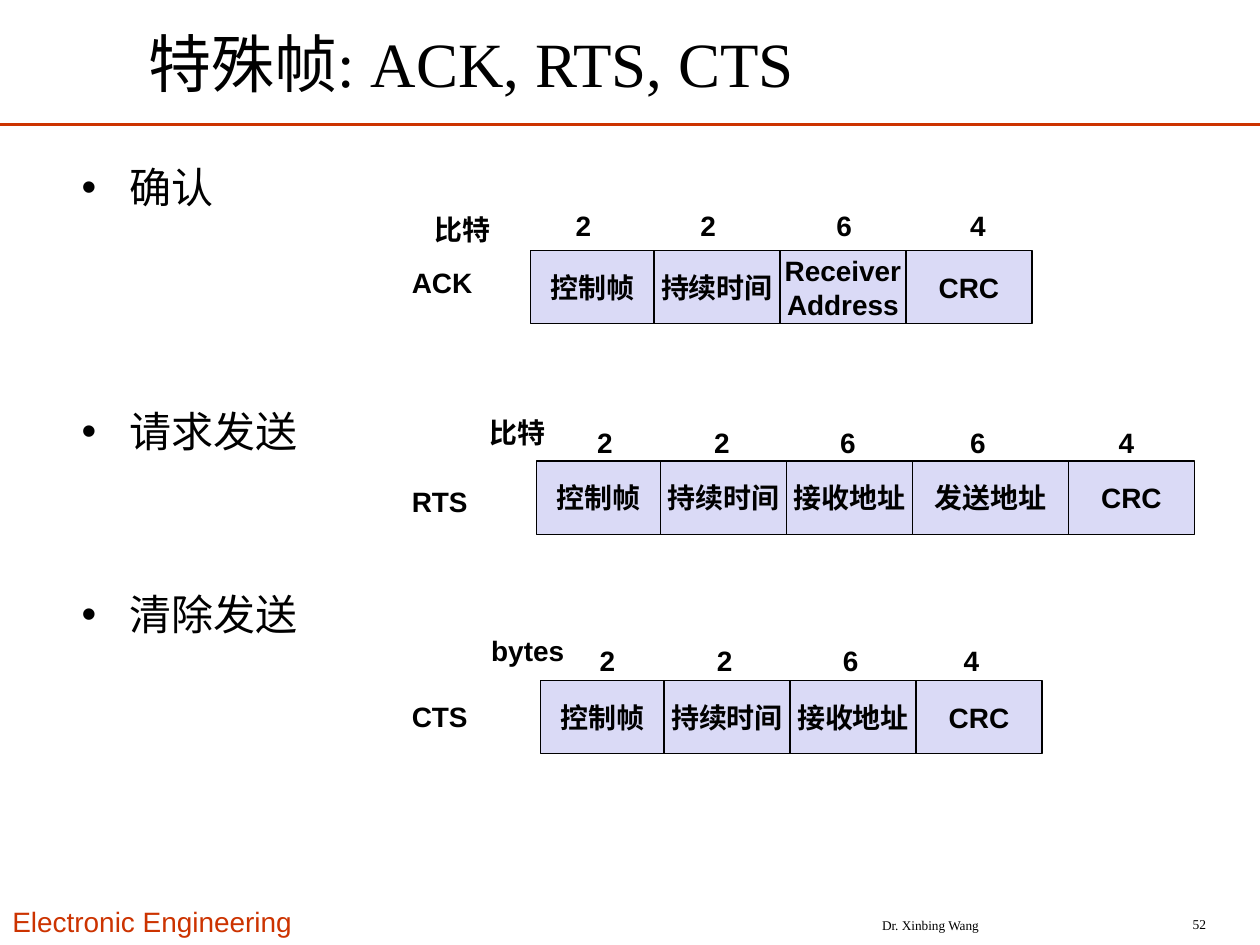
from itertools import accumulate
from lxml import etree
from pptx import Presentation, util as u
from pptx.dml.color import RGBColor
from pptx.enum import shapes, text
from pptx.oxml import ns

BLACK = RGBColor(0, 0, 0)
ORANGE = RGBColor(0xCC, 0x33, 0x00)
LAVENDER = RGBColor(0xDA, 0xDA, 0xF6)
SANS, SERIF = "Arial", "Times New Roman"
GRID_COLUMNS, GRID_ROWS = 100, 75
CELL_HEIGHT, LABEL_HEIGHT, COUNT_WIDTH, NAME_LEFT = 5.8, 3.7, 3.2, 31.7
BULLET_INDENT = 3.8

TITLE = "特殊帧: ACK, RTS, CTS"
BULLETS = [("确认", 0), ("请求发送", 110.5), ("清除发送", 75.5)]
FRAMES = [
    dict(name=("ACK", 20.6, 6.8), unit=("比特", 33.5, 16.4, 6.4), left=42.1, top=19.9,
         fields=[("控制帧", 9.8), ("持续时间", 10), ("Receiver\nAddress", 10), ("CRC", 10)],
         count_top=16.1, counts=[("2", 44.7), ("2", 54.6), ("6", 65.4), ("4", 76)]),
    dict(name=("RTS", 38, 6.4), unit=("比特", 37.9, 32.5, 6.4), left=42.6, top=36.6,
         fields=[("控制帧", 9.8), ("持续时间", 10), ("接收地址", 10), ("发送地址", 12.4), ("CRC", 10)],
         count_top=33.3, counts=[("2", 46.4), ("2", 55.7), ("6", 65.7), ("6", 76), ("4", 87.8)]),
    dict(name=("CTS", 55, 6.4), unit=("bytes", 38, 49.8, 7.8), left=42.9, top=54,
         fields=[("控制帧", 9.8), ("持续时间", 10), ("接收地址", 10), ("CRC", 10)],
         count_top=50.6, counts=[("2", 46.6), ("2", 55.9), ("6", 65.9), ("4", 75.5)]),
]

deck = Presentation()
deck.slide_width, deck.slide_height = u.Inches(10), u.Inches(7.5)
page = deck.slides.add_slide(deck.slide_layouts[6])


def across(columns):
    return round(deck.slide_width * columns / GRID_COLUMNS)


def down(rows):
    return round(deck.slide_height * rows / GRID_ROWS)


def write(content, left, top, width, height, *, size=16, font=SANS, color=BLACK, bold=False,
          align=text.PP_ALIGN.LEFT, anchor=text.MSO_ANCHOR.TOP, wrap=False, fill=None):
    area = across(left), down(top), across(width), down(height)
    if fill is None:
        box = page.shapes.add_textbox(*area)
    else:
        box = page.shapes.add_shape(shapes.MSO_SHAPE.RECTANGLE, *area)
        box.shadow.inherit = False
        box.fill.solid()
        box.fill.fore_color.rgb = fill
        box.line.color.rgb = BLACK
        box.line.width = u.Pt(0.75)
    frame = box.text_frame
    frame.word_wrap = wrap
    frame.vertical_anchor = anchor
    frame.text = content
    for para in frame.paragraphs:
        para.alignment = align
        for span in para.runs:
            span.font.size = u.Pt(size)
            span.font.name = font
            span.font.bold = bold
            span.font.color.rgb = color
    return box


def add_bullet(para, space):
    para.line_spacing = u.Pt(29)
    para.space_before = u.Pt(space)
    properties = para._p.get_or_add_pPr()
    properties.set("marL", str(across(BULLET_INDENT)))
    properties.set("indent", str(-across(BULLET_INDENT)))
    etree.SubElement(properties, ns.qn("a:buFont")).set("typeface", SANS)
    etree.SubElement(properties, ns.qn("a:buChar")).set("char", "•")


def draw_frame(frame):
    widths = [width for _, width in frame["fields"]]
    lefts = accumulate(widths, initial=frame["left"])
    for (field, width), left in zip(frame["fields"], lefts):
        write(field, left, frame["top"], width, CELL_HEIGHT, bold=True, fill=LAVENDER,
              align=text.PP_ALIGN.CENTER, anchor=text.MSO_ANCHOR.MIDDLE)
    name, name_top, name_width = frame["name"]
    unit, unit_left, unit_top, unit_width = frame["unit"]
    labels = [(name, NAME_LEFT, name_top, name_width), (unit, unit_left, unit_top, unit_width)]
    labels += [(count, left, frame["count_top"], COUNT_WIDTH) for count, left in frame["counts"]]
    for label, left, top, width in labels:
        write(label, left, top, width, LABEL_HEIGHT, bold=True)


rule = page.shapes.add_connector(shapes.MSO_CONNECTOR.STRAIGHT,
                                 0, down(9.9), across(GRID_COLUMNS), down(9.9))
rule.line.color.rgb = ORANGE
rule.line.width = u.Pt(1.5)
etree.SubElement(rule._element.spPr, ns.qn("a:effectLst"))

write("Electronic Engineering", 0, 71.3, 25.5, 3.7, color=ORANGE, wrap=True)
write("Dr. Xinbing Wang", 61.7, 72.2, 24.3, 2.5, size=7.6, font=SERIF, wrap=True,
      align=text.PP_ALIGN.CENTER, anchor=text.MSO_ANCHOR.MIDDLE)
write("52", 88.4, 72.1, 8.3, 2.5, size=7.7, font=SERIF, wrap=True,
      align=text.PP_ALIGN.RIGHT, anchor=text.MSO_ANCHOR.MIDDLE)
write(TITLE, 10.8, 1.5, 82.7, 6.9, size=36, font=SERIF, wrap=True,
      anchor=text.MSO_ANCHOR.MIDDLE)

body = write("\n".join(topic for topic, _ in BULLETS), 5.5, 12.3, 85, 45,
             size=24, font=SERIF, wrap=True)
for para, (_, space) in zip(body.text_frame.paragraphs, BULLETS):
    add_bullet(para, space)

for frame in FRAMES:
    draw_frame(frame)

deck.save("out.pptx")
